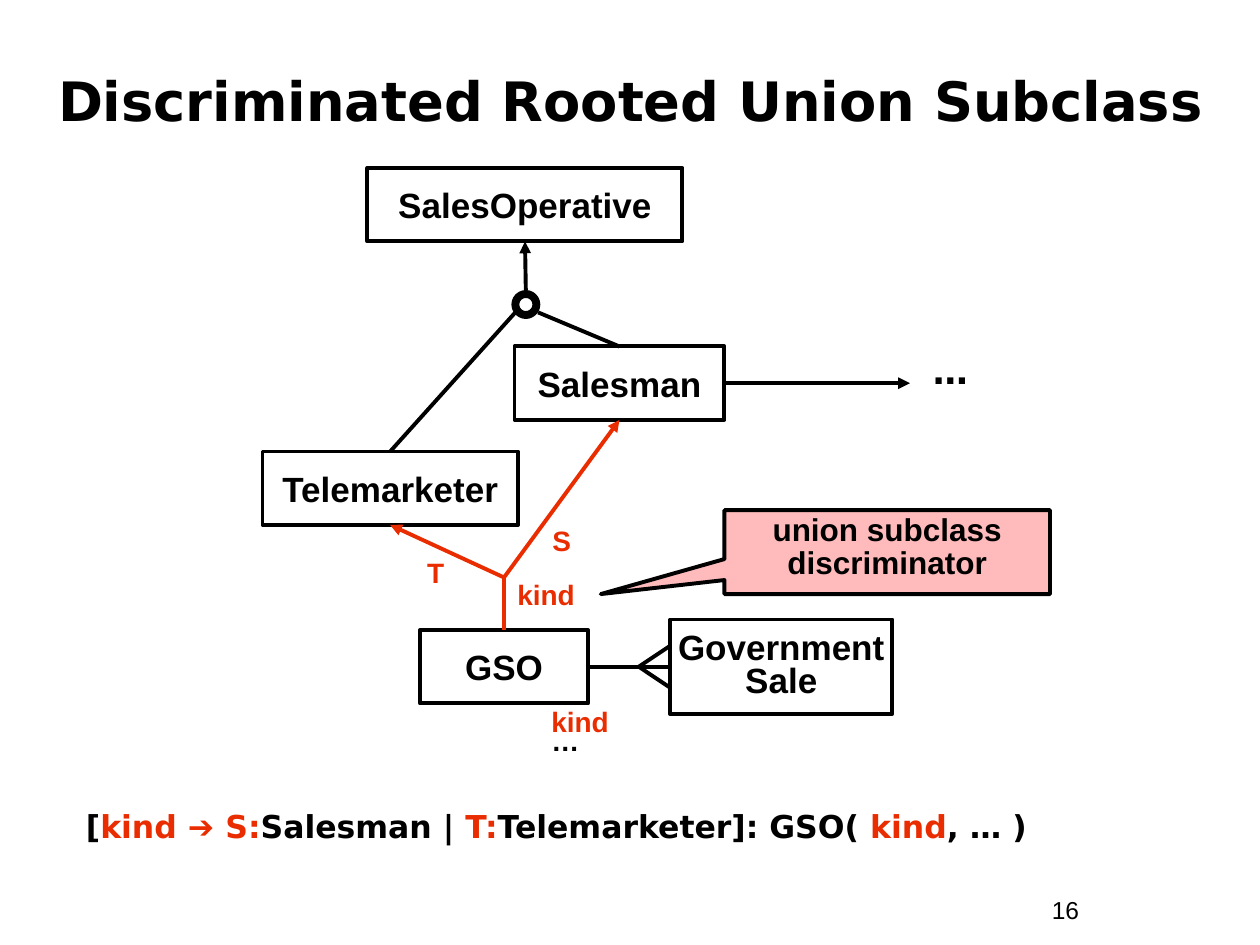
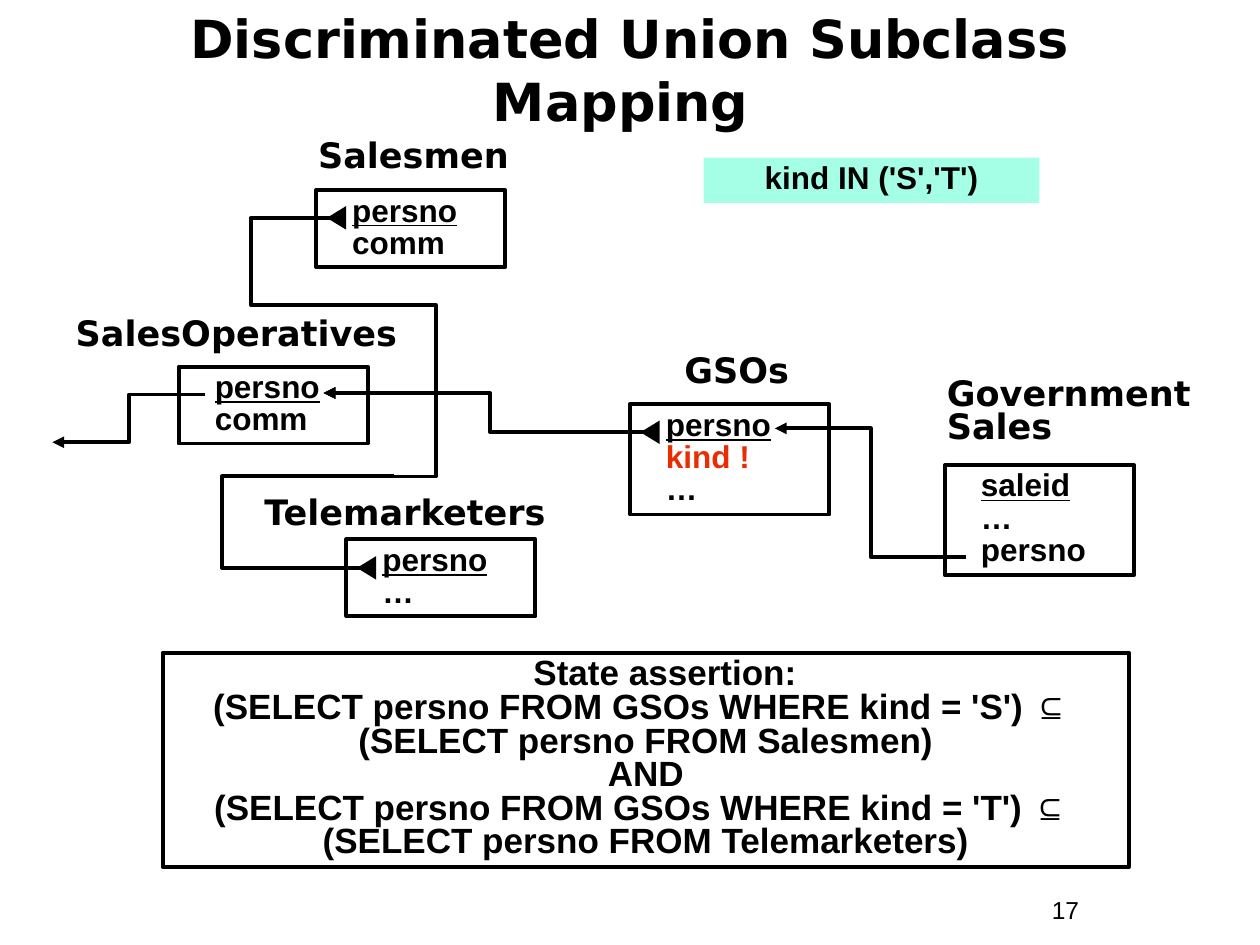
from lxml import etree
from pptx import Presentation
from pptx.dml.color import RGBColor
from pptx.enum.shapes import MSO_CONNECTOR, MSO_SHAPE
from pptx.enum.text import MSO_ANCHOR, PP_ALIGN
from pptx.oxml.ns import qn
from pptx.util import Pt

RECTANGLE, ELLIPSE = MSO_SHAPE.RECTANGLE, MSO_SHAPE.OVAL
TRIANGLE, CALLOUT = MSO_SHAPE.ISOSCELES_TRIANGLE, MSO_SHAPE.RECTANGULAR_CALLOUT
STRAIGHT, ELBOW = MSO_CONNECTOR.STRAIGHT, MSO_CONNECTOR.ELBOW
LEFT, CENTER = PP_ALIGN.LEFT, PP_ALIGN.CENTER
TOP, MIDDLE = MSO_ANCHOR.TOP, MSO_ANCHOR.MIDDLE
TOP_SIDE, LEFT_SIDE, BOTTOM_SIDE, RIGHT_SIDE = range(4)

COLOURS = {"ink": "000000", "accent": "EA2D00", "callout": "FFBBBB", "check": "A5FFE7"}
BODY, DISPLAY = "Arial", "DejaVu Sans"
LINE = 2.25


def colour_of(name):
    return RGBColor.from_string(COLOURS[name])


# Text and shapes

def write(box, text, size=20, font=BODY, colour="ink", bold=True, underline=False,
          align=LEFT, spacing=None, before=0, indent=0):
    """Add one paragraph; text is a string or a list of (text, colour, font) spans."""
    frame = box.text_frame
    para = frame.paragraphs[0] if not frame.text else frame.add_paragraph()
    para.alignment, para.line_spacing, para.space_before = align, spacing, Pt(before)
    if indent:
        para._p.get_or_add_pPr().set("marL", str(Pt(indent)))
    spans = [(text, colour, font)] if isinstance(text, str) else text
    for words, span_colour, span_font in spans:
        for number, line in enumerate(words.split("\n")):
            if number:
                para.add_line_break()
            span = para.add_run()
            span.text = line
            span.font.size, span.font.name = Pt(size), span_font
            span.font.bold, span.font.underline = bold, underline
            span.font.color.rgb = colour_of(span_colour)


def set_frame(box, anchor=TOP, wrap=True):
    box.text_frame.word_wrap = wrap
    box.text_frame.vertical_anchor = anchor


def label(page, left, top, width, height, text, anchor=TOP, **style):
    box = page.shapes.add_textbox(Pt(left), Pt(top), Pt(width), Pt(height))
    set_frame(box, anchor)
    write(box, text, **style)
    return box


def add_shape(page, kind, left, top, width, height, fill=None, line=LINE,
              anchor=TOP, wrap=True):
    shape = page.shapes.add_shape(kind, Pt(left), Pt(top), Pt(width), Pt(height))
    shape.shadow.inherit = False
    if fill:
        shape.fill.solid()
        shape.fill.fore_color.rgb = colour_of(fill)
    else:
        shape.fill.background()
    if line:
        shape.line.color.rgb = colour_of("ink")
        shape.line.width = Pt(line)
    else:
        shape.line.fill.background()
    set_frame(shape, anchor, wrap)
    return shape


# Lines

def style_line(line, colour="ink", arrow=False):
    line.line.color.rgb = colour_of(colour)
    line.line.width = Pt(LINE)
    if arrow:
        etree.SubElement(line.line._get_or_add_ln(), qn("a:tailEnd"), type="triangle")
    etree.SubElement(line._element.spPr, qn("a:effectLst"))


def link(page, start, end, **style):
    """Join two ends, each an (x, y) point or a (shape, side) pair."""
    line = page.shapes.add_connector(STRAIGHT, 0, 0, 0, 0)
    if isinstance(start[0], (int, float)):
        line.begin_x, line.begin_y = Pt(start[0]), Pt(start[1])
    else:
        line.begin_connect(*start)
    if isinstance(end[0], (int, float)):
        line.end_x, line.end_y = Pt(end[0]), Pt(end[1])
    else:
        line.end_connect(*end)
    style_line(line, **style)


def elbow(page, start, end, turn_x, **style):
    line = page.shapes.add_connector(ELBOW, *(Pt(value) for value in (*start, *end)))
    share = round((turn_x - start[0]) / (end[0] - start[0]) * 100000)
    guides = line._element.spPr.find(qn("a:prstGeom")).get_or_add_avLst()
    etree.SubElement(guides, qn("a:gd"), name="adj1", fmla=f"val {share}")
    style_line(line, **style)


# Shared parts of both slides

def add_page(deck, title, title_top, title_size, number):
    page = deck.slides.add_slide(deck.slide_layouts[6])
    label(page, 24, title_top, 672, 66, title, anchor=MIDDLE, align=CENTER,
          size=title_size, font=DISPLAY)
    label(page, 594, 508, 66, 25, str(number), size=14, bold=False)
    return page


# Class diagram

def class_diagram(page, left, top):
    def at(x, y):
        return left + x, top + y

    def class_box(name, x, y, width, height=42, spacing=None):
        box = add_shape(page, RECTANGLE, *at(x, y), width, height, anchor=MIDDLE, wrap=False)
        write(box, name, align=CENTER, before=12.5, spacing=spacing)
        return box

    operative = class_box("SalesOperative", 60, 0, 180)
    salesman = class_box("Salesman", 144, 102, 120)
    telemarketer = class_box("Telemarketer", 0, 162, 146)
    gso = class_box("GSO", 90, 264, 96)
    sale = class_box("Government\nSale", 233, 258, 127, 54, spacing=0.8)

    # Union ring and its branches
    add_shape(page, ELLIPSE, *at(144.5, 72), 12, 12, line=4.5)
    link(page, at(150.5, 70), (operative, BOTTOM_SIDE), arrow=True)
    link(page, (telemarketer, TOP_SIDE), at(144.5, 82.5))
    link(page, (salesman, TOP_SIDE), at(157.5, 82.5))

    # Salesman's other association
    link(page, (salesman, RIGHT_SIDE), at(370, 123), arrow=True)
    label(page, *at(376, 104), 60, 28, "…", font=DISPLAY, spacing=0.85, before=12.5)

    # Discriminated fork
    fork = at(138, 234)
    link(page, fork, (gso, TOP_SIDE), colour="accent")
    for target in (telemarketer, salesman):
        link(page, fork, (target, BOTTOM_SIDE), colour="accent", arrow=True)
    for text, x, y, width in (("S", 156, 203.5, 30), ("T", 84, 221.5, 30),
                              ("kind", 126, 234, 72)):
        label(page, *at(x, y), width, 23, text, size=16, colour="accent",
              align=CENTER, spacing=0.8, before=10)

    # Crow's foot
    link(page, (sale, LEFT_SIDE), (gso, RIGHT_SIDE))
    for rise in (-12, 12):
        link(page, at(215, 285), at(233, 285 + rise))

    # Attributes of GSO
    attributes = label(page, *at(158, 306), 66, 33, "kind", size=16,
                       colour="accent", spacing=0.85)
    write(attributes, "…", size=16, spacing=0.5)

    # Callout
    callout = add_shape(page, CALLOUT, *at(264, 195.5), 186, 48, fill="callout")
    callout.adjustments[0], callout.adjustments[1] = -0.88, 0.5
    write(callout, "union subclass discriminator", size=18, align=CENTER,
          spacing=0.85, before=2.2)


def notation(page, left, top, width):
    spans = [("[", "ink", DISPLAY), ("kind ", "accent", DISPLAY), ("➔", "accent", BODY),
             (" S:", "accent", DISPLAY), ("Salesman | ", "ink", DISPLAY),
             ("T:", "accent", DISPLAY), ("Telemarketer]: GSO( ", "ink", DISPLAY),
             ("kind", "accent", DISPLAY), (", … )", "ink", DISPLAY)]
    label(page, left, top, width, 25, spans, size=18, spacing=0.8, before=11.2)


# Table mapping

def table_card(page, left, top, height, caption, shift, columns):
    """Draw a relation with its key underlined; shift moves the caption."""
    box = add_shape(page, RECTANGLE, left, top, 108, height)
    if caption == "GSOs":
        box.width = Pt(114)
    for number, column in enumerate(columns):
        write(box, column, size=18, underline=number == 0, spacing=0.85, indent=13.5,
              colour="accent" if column.endswith("!") else "ink")
    label(page, left + shift[0], top + shift[1], 204, 32, caption, font=DISPLAY,
          spacing=0.8 if "\n" in caption else None)


def table_mapping(page, left, top):
    def at(x, y):
        return left + x, top + y

    for x, y, height, caption, shift, columns in (
            (150.7, 36.7, 44, "Salesmen", (-6, -36), ["persno", "comm"]),
            (168, 236.2, 44, "Telemarketers", (-54, -31.7), ["persno", "…"]),
            (330, 159, 63, "GSOs", (24, -35.3), ["persno", "kind !", "…"]),
            (510, 193.7, 63, "Government\nSales", (-6, -52.6), ["saleid", "…", "persno"]),
            (72.2, 137.5, 44, "SalesOperatives", (-66, -35.3), ["persno", "comm"])):
        table_card(page, *at(x, y), height, caption, shift, columns)

    # Foreign keys
    operative_key = at(155, 152.6)
    salesman_key, telemarketer_key, gso_key = at(165.8, 52.5), at(183, 252.5), at(345, 175)
    elbow(page, at(522.2, 246.2), at(412.8, 172.8), left + 467.5, arrow=True)
    elbow(page, at(87.4, 153.4), at(0, 180.7), left + 43.8, arrow=True)
    elbow(page, gso_key, operative_key, left + 250, arrow=True)
    for key, turn_x, level in ((salesman_key, 113.3, 102.2), (telemarketer_key, 96.7, 200.3)):
        elbow(page, key, at(195.4, level), left + turn_x)
        link(page, at(195.4, level), at(201, level))
        elbow(page, at(201, level), operative_key, left + 219, arrow=True)

    # Subset markers at the keys
    width, height = 13.5, 11
    for x, y in (salesman_key, telemarketer_key, gso_key):
        marker = add_shape(page, TRIANGLE, x - 3.5 - width / 2, y - height / 2,
                           width, height, fill="ink", line=None)
        marker.rotation = 270


def kind_check(page, left, top):
    box = add_shape(page, RECTANGLE, left, top, 192, 26, fill="check", line=None)
    write(box, "kind IN ('S','T')", size=18, align=CENTER, spacing=0.85, before=11.2)


def state_assertion(page, left, top, width, height):
    box = add_shape(page, RECTANGLE, left, top, width, height)
    write(box, "State assertion:", align=CENTER, spacing=0.8, before=12.5, indent=22)
    parts = [f"(SELECT persno FROM GSOs WHERE kind = '{kind}') ⊆ \n(SELECT persno FROM {table})"
             for kind, table in (("S", "Salesmen"), ("T", "Telemarketers"))]
    write(box, "\nAND\n".join(parts), align=CENTER, spacing=0.8)


def main():
    deck = Presentation()
    deck.slide_width, deck.slide_height = Pt(720), Pt(540)

    page = add_page(deck, "Discriminated Rooted Union Subclass", 24, 31, 16)
    class_diagram(page, 150, 96)
    notation(page, 42, 462, 582)

    page = add_page(deck, "Discriminated Union Subclass Mapping ", 6.5, 30, 17)
    table_mapping(page, 30, 72)
    kind_check(page, 402, 90)
    state_assertion(page, 93, 373, 552, 122.5)

    deck.save("out.pptx")


if __name__ == "__main__":
    main()
